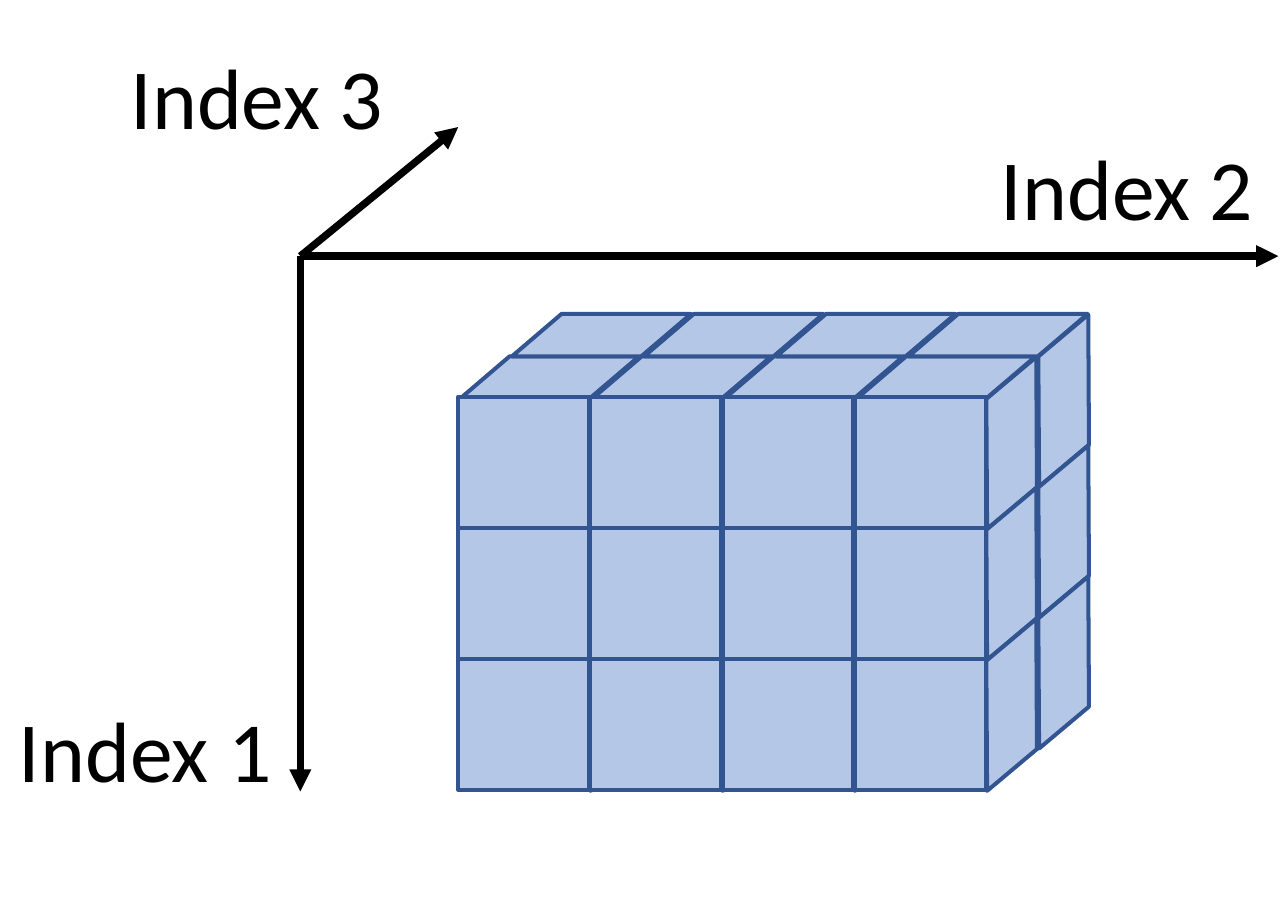
import pptx
import pptx.dml.color
import pptx.enum.shapes
import pptx.enum.text
import pptx.oxml
import pptx.oxml.ns
import pptx.util

Inches = pptx.util.Inches
Pt = pptx.util.Pt
MSO_SHAPE = pptx.enum.shapes.MSO_SHAPE

# Content: axis label, label box (left, top, width, height), arrow tip
ORIGIN = (1.56, 1.33)
AXES = [
    ("Index 1", (0, 3.57, 1.61, 0.64), (1.56, 4.11)),
    ("Index 2", (5.1, 0.65, 1.55, 0.64), (6.64, 1.33)),
    ("Index 3", (0.58, 0.18, 1.61, 0.64), (2.38, 0.66)),
]

# Array of cubes: size along each index, first corner and steps
ROWS, COLUMNS, LAYERS = 3, 4, 2
CORNER_X, CORNER_Y = 2.38, 2.06
COLUMN_STEP = (4.44 - CORNER_X) / (COLUMNS - 1)
CELL = 0.68
LAYER_DX, LAYER_DY = 0.27, -0.22

# Cube faces: preset, offset from the cube corner, size, slant, rotation
FRONT = (MSO_SHAPE.RECTANGLE, (0, 0), (CELL, CELL), None, 0)
TOP = (MSO_SHAPE.PARALLELOGRAM, (0.01, -0.21), (0.93, 0.22), 1.17, 0)
SIDE = (MSO_SHAPE.PARALLELOGRAM, (0.43, -0.02), (0.77, 0.52), 0.83, 320)

FACE_FILL, FACE_LINE, INK = "B4C7E7", "325491", "000000"


def color(hex_value):
    return pptx.dml.color.RGBColor.from_string(hex_value)


def add_face(cubes, face, x, y):
    preset, (dx, dy), (width, height), slant, rotation = face
    panel = cubes.shapes.add_shape(
        preset, Inches(x + dx), Inches(y + dy), Inches(width), Inches(height))
    if slant:
        panel.adjustments[0] = slant
    panel.rotation = rotation
    panel.shadow.inherit = False
    panel.fill.solid()
    panel.fill.fore_color.rgb = color(FACE_FILL)
    panel.line.color.rgb = color(FACE_LINE)
    panel.line.width = Pt(1.5)


def add_axis(slide, tip):
    axis = slide.shapes.add_connector(
        pptx.enum.shapes.MSO_CONNECTOR.STRAIGHT,
        *(Inches(value) for value in ORIGIN + tip))
    axis.line.color.rgb = color(INK)
    axis.line.width = Pt(2.75)
    arrowhead = pptx.oxml.parse_xml(
        f'<a:tailEnd {pptx.oxml.ns.nsdecls("a")} type="triangle"/>')
    axis.line._get_or_add_ln().append(arrowhead)
    axis._element.spPr.append(
        pptx.oxml.parse_xml(f'<a:effectLst {pptx.oxml.ns.nsdecls("a")}/>'))


def add_label(slide, text, box):
    label = slide.shapes.add_textbox(*(Inches(value) for value in box))
    frame = label.text_frame
    frame.text = text
    frame.word_wrap = True
    frame.auto_size = pptx.enum.text.MSO_AUTO_SIZE.SHAPE_TO_FIT_TEXT
    font = frame.paragraphs[0].runs[0].font
    font.name = "Calibri"
    font.size = Pt(32)
    font.color.rgb = color(INK)


def main():
    deck = pptx.Presentation()
    deck.slide_width, deck.slide_height = Inches(6.69), Inches(4.72)
    slide = deck.slides.add_slide(deck.slide_layouts[6])

    # One group per column, so that each column covers the one to its left
    for column in range(COLUMNS):
        cubes = slide.shapes.add_group_shape()
        for layer in range(LAYERS):
            x = CORNER_X + column * COLUMN_STEP + layer * LAYER_DX
            y = CORNER_Y + layer * LAYER_DY
            add_face(cubes, TOP, x, y)
            for row in range(ROWS):
                if layer == 0:
                    add_face(cubes, FRONT, x, y + row * CELL)
                add_face(cubes, SIDE, x, y + row * CELL)

    # Axes, then their labels
    for _, _, tip in AXES:
        add_axis(slide, tip)
    for text, box, _ in AXES:
        add_label(slide, text, box)

    deck.save("out.pptx")


if __name__ == "__main__":
    main()
